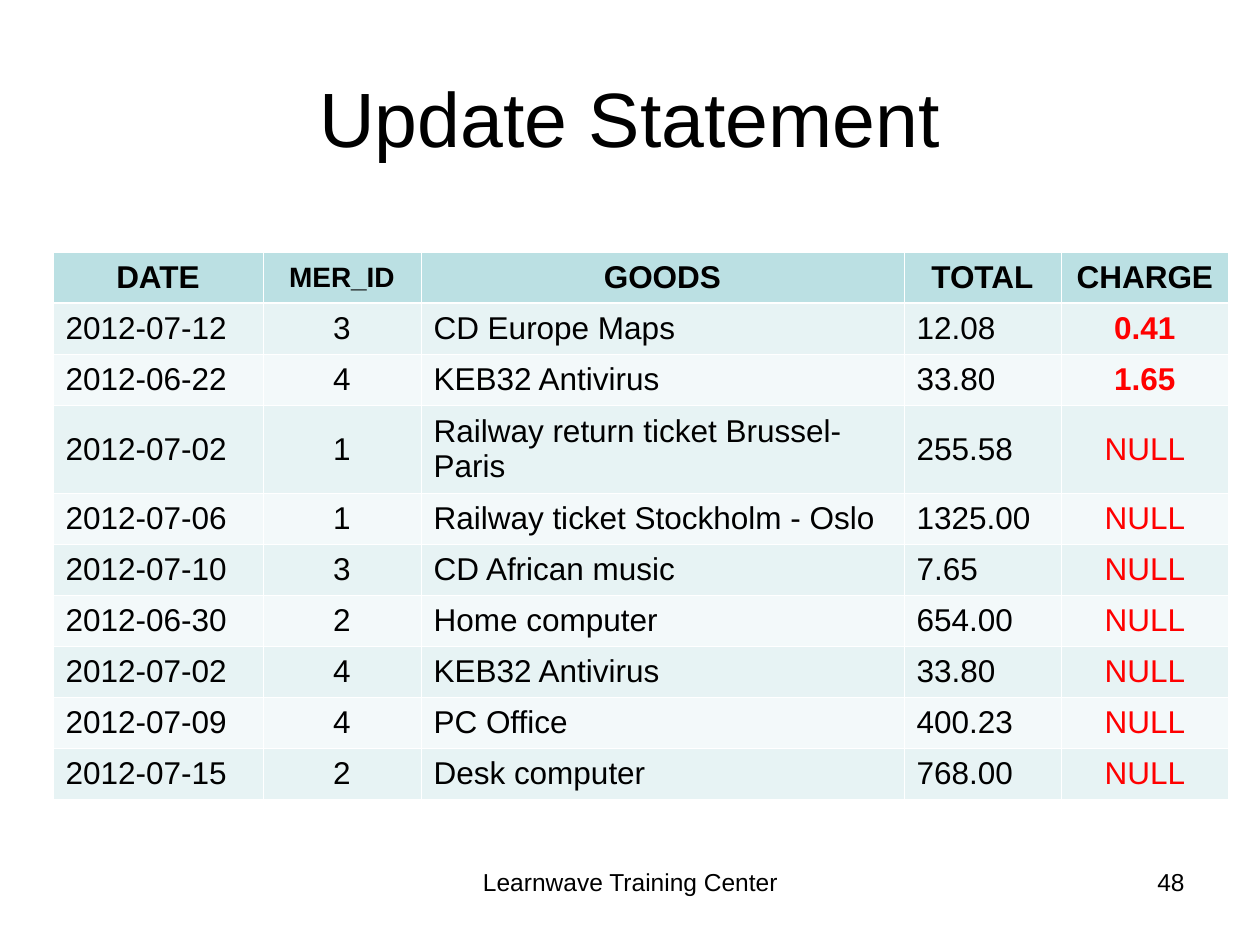
from dataclasses import dataclass

from lxml import etree
from pptx import Presentation
from pptx import util as u
from pptx.dml import color
from pptx.enum import text
from pptx.oxml import ns

EMU_PER_PX = 914400 / 126
FONT = "Arial"
COLORS = {
    "ink": "000000",
    "charge": "FF0000",
    "header": "BBE0E3",
    "odd": "E7F3F4",
    "even": "F3F9FA",
    "border": "FFFFFF",
}
LEFT, CENTER, RIGHT = text.PP_ALIGN.LEFT, text.PP_ALIGN.CENTER, text.PP_ALIGN.RIGHT
ROW_HEIGHT, TALL_ROW_HEIGHT, TALL_ROW = 51, 88, 3
THIN, THICK = 0.45, 1.47


@dataclass
class Column:
    heading: str
    width: int
    align: text.PP_ALIGN
    heading_size: int = 18
    color: str = "ink"


@dataclass
class Purchase:
    date: str
    merchant: str
    goods: str
    total: str
    charge: str = "NULL"

    def values(self) -> list[str]:
        return [self.date, self.merchant, self.goods, self.total, self.charge]


@dataclass
class FooterItem:
    wording: str
    left: int
    width: int
    align: text.PP_ALIGN


COLUMNS = [
    Column("DATE", 210, LEFT),
    Column("MER_ID", 158, CENTER, heading_size=16),
    Column("GOODS", 483, LEFT),
    Column("TOTAL", 157, LEFT),
    Column("CHARGE", 168, CENTER, color="charge"),
]
PURCHASES = [
    Purchase("2012-07-12", "3", "CD Europe Maps", "12.08", "0.41"),
    Purchase("2012-06-22", "4", "KEB32 Antivirus", "33.80", "1.65"),
    Purchase("2012-07-02", "1", "Railway return ticket Brussel-Paris", "255.58"),
    Purchase("2012-07-06", "1", "Railway ticket Stockholm - Oslo", "1325.00"),
    Purchase("2012-07-10", "3", "CD African music", "7.65"),
    Purchase("2012-06-30", "2", "Home computer", "654.00"),
    Purchase("2012-07-02", "4", "KEB32 Antivirus", "33.80"),
    Purchase("2012-07-09", "4", "PC Office", "400.23"),
    Purchase("2012-07-15", "2", "Desk computer", "768.00"),
]
FOOTER = [
    FooterItem("Learnwave Training Center", 431, 399, CENTER),
    FooterItem("48", 903, 294, RIGHT),
]


def px(length: int) -> u.Emu:
    return u.Emu(round(length * EMU_PER_PX))


def rgb(name: str) -> color.RGBColor:
    return color.RGBColor.from_string(COLORS[name])


def write(frame, wording: str, size: int, align: text.PP_ALIGN,
          ink: str = "ink", bold: bool = False) -> None:
    paragraph = frame.paragraphs[0]
    paragraph.alignment = align
    run = paragraph.add_run()
    run.text = wording
    run.font.name = FONT
    run.font.size = u.Pt(size)
    run.font.bold = bold
    run.font.color.rgb = rgb(ink)


def add_border(cell, side: str, width: float) -> None:
    properties = cell._tc.get_or_add_tcPr()
    line = etree.SubElement(properties, ns.qn(f"a:ln{side}"), w=str(u.Pt(width)))
    fill = etree.SubElement(line, ns.qn("a:solidFill"))
    etree.SubElement(fill, ns.qn("a:srgbClr"), val=COLORS["border"])


def style_cell(cell, row: int) -> None:
    add_border(cell, "L", THIN)
    add_border(cell, "R", THIN)
    add_border(cell, "T", THICK if row == 1 else THIN)
    add_border(cell, "B", THICK if row == 0 else THIN)
    cell.fill.solid()
    cell.fill.fore_color.rgb = rgb("header" if row == 0 else "odd" if row % 2 else "even")
    cell.vertical_anchor = text.MSO_ANCHOR.MIDDLE


def draw_title(slide, wording: str) -> None:
    title = slide.shapes.title
    title.left, title.top, title.width, title.height = map(px, (63, 38, 1134, 157))
    title.text_frame.vertical_anchor = text.MSO_ANCHOR.MIDDLE
    write(title.text_frame, wording, 44, CENTER)


def draw_footer_item(slide, item: FooterItem) -> None:
    box = slide.shapes.add_textbox(px(item.left), px(861), px(item.width), px(66))
    box.text_frame.word_wrap = True
    write(box.text_frame, item.wording, 14, item.align)


def draw_purchases(slide) -> None:
    heights = [ROW_HEIGHT] * (len(PURCHASES) + 1)
    heights[TALL_ROW] = TALL_ROW_HEIGHT
    width = sum(column.width for column in COLUMNS)
    ledger = slide.shapes.add_table(
        len(heights), len(COLUMNS), px(53), px(252), px(width), px(sum(heights))
    ).table
    ledger.horz_banding = False
    for row, height in enumerate(heights):
        ledger.rows[row].height = px(height)
    for index, column in enumerate(COLUMNS):
        ledger.columns[index].width = px(column.width)
        heading = ledger.cell(0, index)
        style_cell(heading, 0)
        write(heading.text_frame, column.heading, column.heading_size, CENTER, bold=True)
        for row, purchase in enumerate(PURCHASES, 1):
            value = purchase.values()[index]
            cell = ledger.cell(row, index)
            style_cell(cell, row)
            charged = column.color == "charge" and value != "NULL"
            write(cell.text_frame, value, 18, column.align, column.color, charged)


def main() -> None:
    deck = Presentation()
    deck.slide_width, deck.slide_height = px(1260), px(945)
    slide = deck.slides.add_slide(deck.slide_layouts[5])
    draw_title(slide, "Update Statement")
    for item in FOOTER:
        draw_footer_item(slide, item)
    draw_purchases(slide)
    deck.save("out.pptx")


if __name__ == "__main__":
    main()
